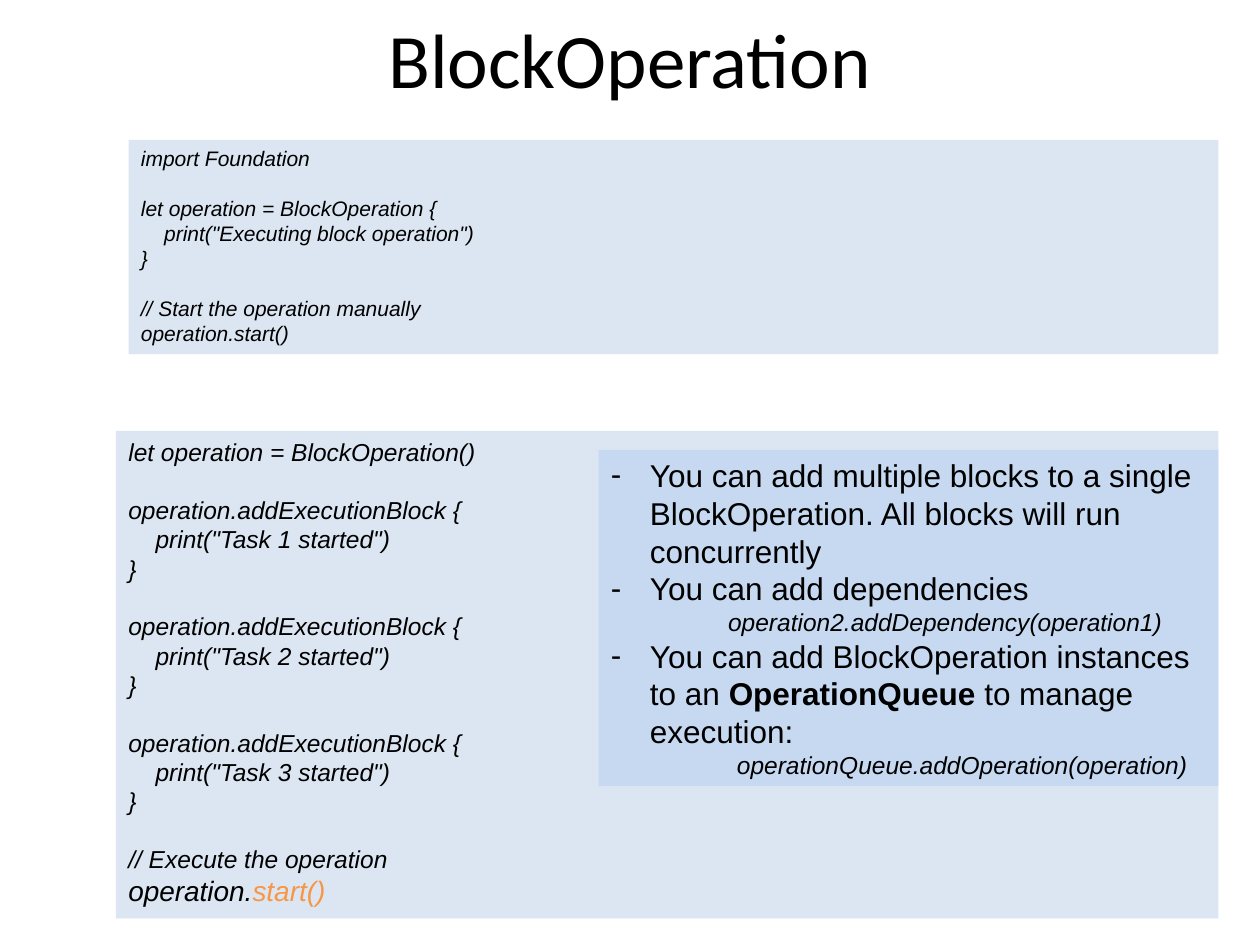
from pptx import Presentation
from pptx.dml.color import RGBColor
from pptx.enum.shapes import MSO_SHAPE as Shape
from pptx.enum.text import MSO_ANCHOR as Anchor, PP_ALIGN as Align
from pptx.util import Inches, Pt
from lxml.etree import SubElement
from pptx.oxml.ns import qn

WIDE, HIGH = Inches(10), Inches(7.5)
BLACK, PALE, BLUE, ORANGE = "000000", "DCE6F2", "C6D9F1", "F79646"
LINE = 1.15  # line height of Arial, in ems


def paint(part, hue):
    part.rgb = RGBColor.from_string(hue)


def place(x, y, w, h):
    """Turn percent of the slide into lengths."""
    return [int(side * share / 100)
            for side, share in zip((WIDE, HIGH, WIDE, HIGH), (x, y, w, h))]


def add_run(para, text, size, hue=BLACK, face="Arial", bold=False, slant=False):
    run = para.add_run()
    run.text = text
    font = run.font
    font.name, font.size = face, Pt(size)
    font.bold, font.italic = bold, slant
    paint(font.color, hue)


def add_panel(slide, box, hue):
    panel = slide.shapes.add_shape(Shape.RECTANGLE, *place(*box))
    panel.shadow.inherit = False
    panel.fill.solid()
    paint(panel.fill.fore_color, hue)
    panel.line.fill.background()
    frame = panel.text_frame
    frame.word_wrap = True
    frame.vertical_anchor = Anchor.TOP
    return frame


def add_para(frame, first):
    para = frame.paragraphs[0] if first else frame.add_paragraph()
    para.alignment = Align.LEFT
    return para


def indent(para, left, hang=0, mark=None):
    props = para._p.get_or_add_pPr()
    props.set("marL", str(Inches(left)))
    props.set("indent", str(Inches(-hang)))
    if mark:
        SubElement(props, qn("a:buFont"), typeface="Arial")
        SubElement(props, qn("a:buChar"), char=mark)


def add_title(slide, box, text):
    title = slide.shapes.title
    title.left, title.top, title.width, title.height = place(*box)
    frame = title.text_frame
    frame.vertical_anchor = Anchor.MIDDLE
    para = frame.paragraphs[0]
    para.alignment = Align.CENTER
    add_run(para, text, 44, face="Calibri")


def add_code(slide, box, groups, size):
    """Set groups of code lines, one line height apart."""
    frame = add_panel(slide, box, PALE)
    for g, group in enumerate(groups):
        for n, line in enumerate(group):
            para = add_para(frame, g == n == 0)
            if g and n == 0:
                para.space_before = Pt(size * LINE)
            if isinstance(line, str):
                line = [(line, size, BLACK)]
            for text, pts, hue in line:
                add_run(para, text, pts, hue, slant=True)


def add_notes(slide, box, notes):
    """Set dashed points, each with an optional line of code below."""
    frame = add_panel(slide, box, BLUE)
    for n, (parts, code, left) in enumerate(notes):
        para = add_para(frame, n == 0)
        indent(para, 0.31, 0.31, "-")
        for text, bold in parts:
            add_run(para, text, 18, bold=bold)
        if code:
            para = add_para(frame, False)
            indent(para, left)
            add_run(para, code, 14, slant=True)


def main():
    deck = Presentation()
    deck.slide_width, deck.slide_height = WIDE, HIGH
    slide = deck.slides.add_slide(deck.slide_layouts[5])

    add_title(slide, (5, -2.27, 90, 16.67), "BlockOperation")

    # Single block
    add_code(slide, (10.2, 14.8, 86.5, 22.7), [
        ["import Foundation"],
        ["let operation = BlockOperation {",
         '    print("Executing block operation")',
         "}"],
        ["// Start the operation manually", "operation.start()"],
    ], 12)

    # Several blocks
    tasks = [["operation.addExecutionBlock {",
              f'    print("Task {n} started")',
              "}"] for n in (1, 2, 3)]
    start = [("operation.", 16, BLACK), ("start()", 16, ORANGE)]
    add_code(slide, (9.2, 45.6, 87.5, 51.6), [
        ["let operation = BlockOperation()"],
        *tasks,
        ["// Execute the operation", start],
    ], 14)

    # Notes over the second panel
    add_notes(slide, (47.5, 47.6, 49.2, 35.6), [
        ([("You can add multiple blocks to a single BlockOperation. "
           "All blocks will run concurrently", False)], None, 0),
        ([("You can add dependencies", False)],
         "operation2.addDependency(operation1)", 0.93),
        ([("You can add BlockOperation instances to an ", False),
          ("OperationQueue", True),
          (" to manage execution:", False)],
         "operationQueue.addOperation(operation)", 1),
    ])

    deck.save("out.pptx")


if __name__ == "__main__":
    main()
